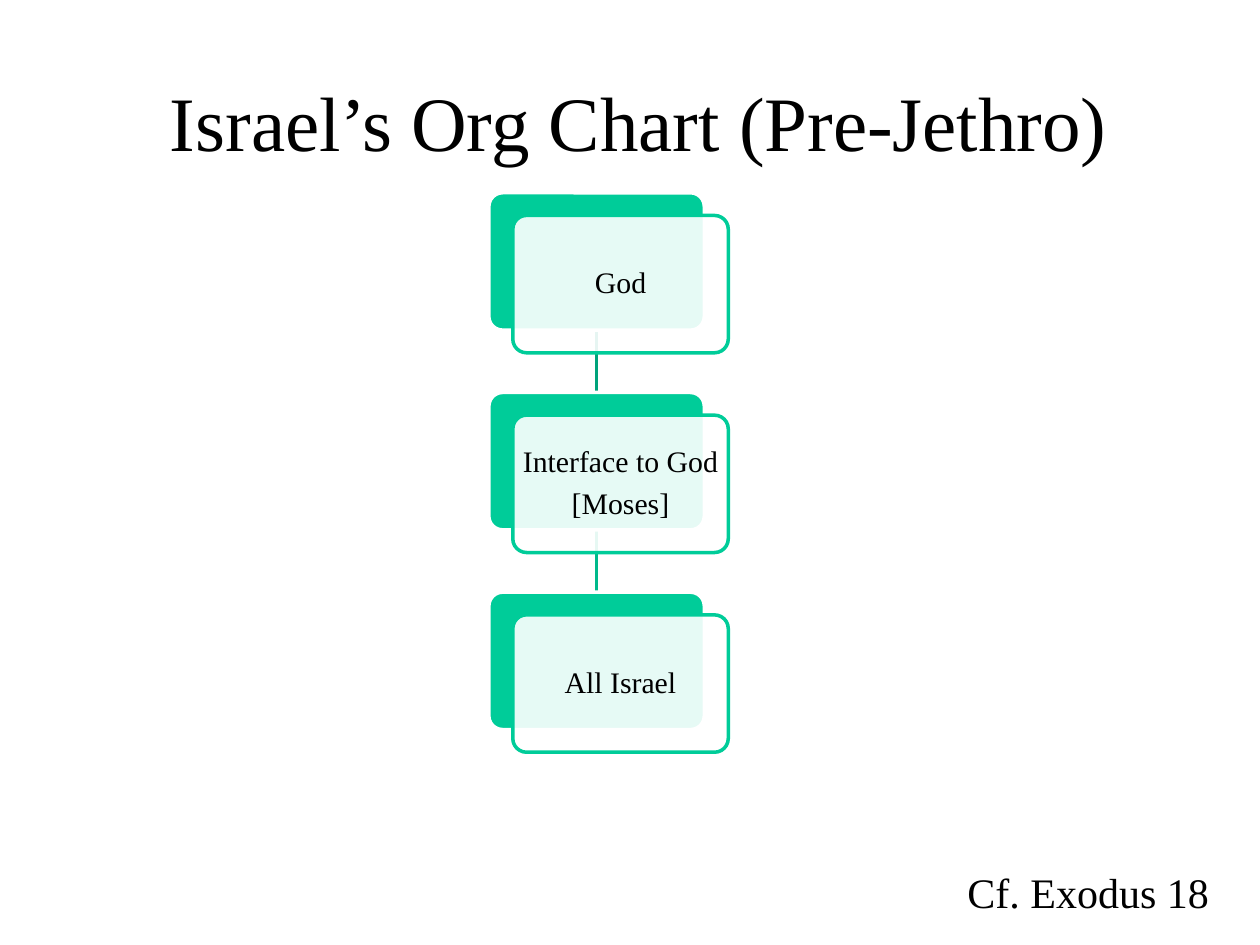
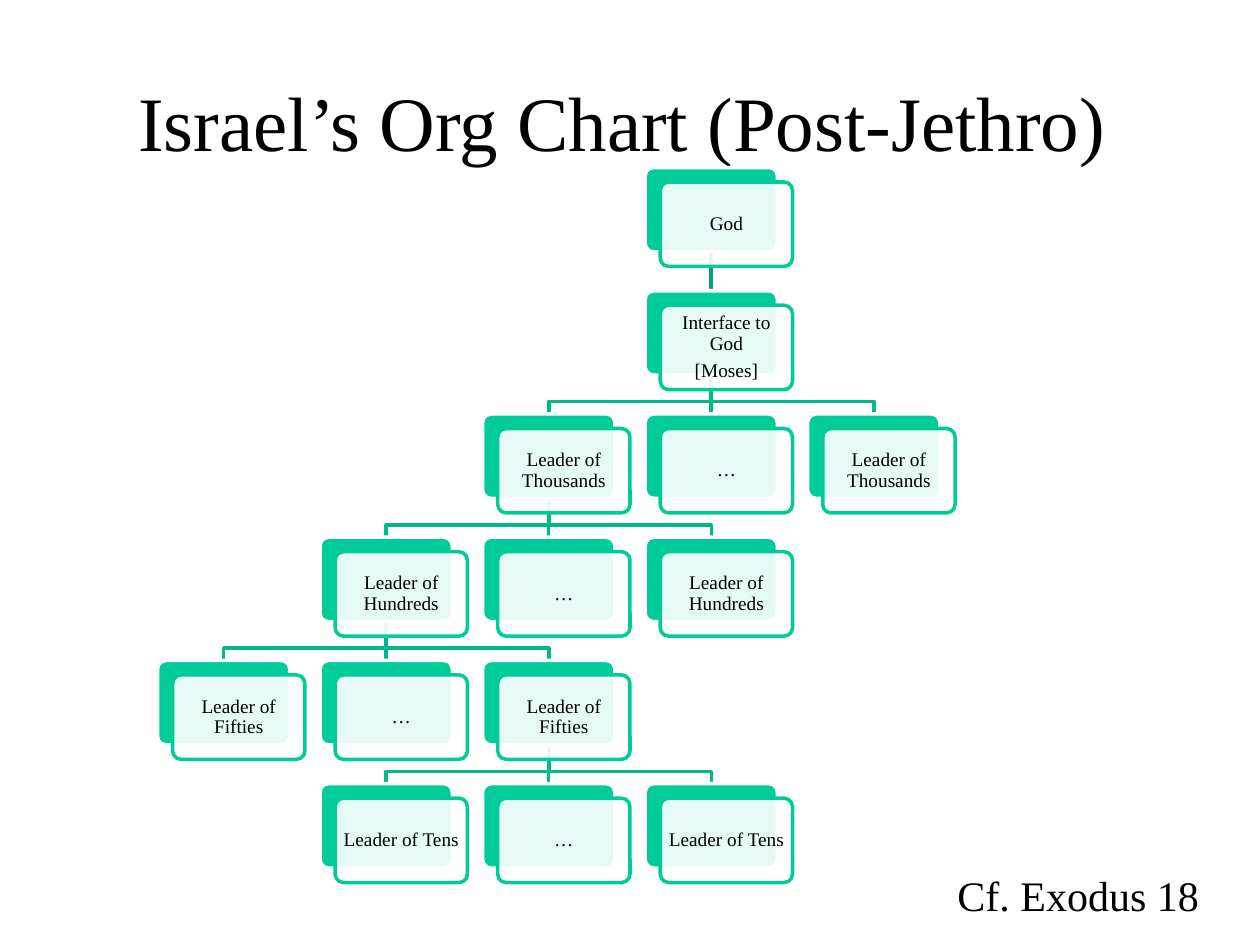
"""Builds two slides with Israel's organisation charts before and after Jethro."""
import pptx
import pptx.dml.color
import pptx.enum.shapes
import pptx.enum.text
import pptx.oxml
import pptx.oxml.ns
import pptx.util
from pptx.util import Inches

FONT = "Times New Roman"
BLACK, WHITE, GREEN = "000000", "FFFFFF", "00CC99"
FIRST_LINK, LOWER_LINK = "00A37B", "00B98B"
LINE_WIDTH = 2
CORNER = 0.1
CARD_OPACITY = 90
ELBOW_DROP = 0.21
CITATION = "Cf. Exodus 18"
MOSES = "Interface to God\n[Moses]"


def branch(leader):
    return [leader, "…", leader]


# Each level holds its centre column, which is also its parent's column, and its labels.
CHARTS = [
    {
        "title": "Israel’s Org Chart (Pre-Jethro)",
        "title_left": 1.25,
        "citation_box": (7.58, 6.83, 2.17, 0.5),
        "levels": [(0, ["God"]), (0, [MOSES]), (0, ["All Israel"])],
        "origin": (3.88, 1.53), "pitch": (0, 1.585), "box": (1.71, 1.09),
        "card_shift": (0.19, 0.18), "margin": 0.04, "size": 17,
    },
    {
        "title": "Israel’s Org Chart (Post-Jethro)",
        "title_left": 1,
        "citation_box": (7.5, 6.85, 2.25, 0.5),
        "levels": [
            (3, ["God"]),
            (3, [MOSES]),
            (3, branch("Leader of Thousands")),
            (2, branch("Leader of Hundreds")),
            (1, branch("Leader of Fifties")),
            (2, branch("Leader of Tens")),
        ],
        "origin": (1.25, 1.33), "pitch": (1.29, 0.978), "box": (1.05, 0.67),
        "card_shift": (0.12, 0.115), "margin": 0.03, "size": 11,
    },
]


def rgb(value):
    return pptx.dml.color.RGBColor.from_string(value)


def write(frame, text, size, align="LEFT", anchor="TOP", margin=None, spacing=None, after=0):
    frame.word_wrap = True
    frame.vertical_anchor = getattr(pptx.enum.text.MSO_ANCHOR, anchor)
    if margin is not None:
        frame.margin_left = frame.margin_right = Inches(margin)
        frame.margin_top = frame.margin_bottom = Inches(margin)
    frame.text = text
    for paragraph in frame.paragraphs:
        paragraph.alignment = getattr(pptx.enum.text.PP_ALIGN, align)
        paragraph.line_spacing = spacing
        paragraph.space_after = pptx.util.Pt(after)
        font = paragraph.runs[0].font
        font.name = FONT
        font.size = pptx.util.Pt(size)
        font.color.rgb = rgb(BLACK)


def add_text(slide, place, text, size, **style):
    box = slide.shapes.add_textbox(*map(Inches, place))
    write(box.text_frame, text, size, **style)


def set_line(line, color):
    line.color.rgb = rgb(color)
    line.width = pptx.util.Pt(LINE_WIDTH)


def add_panel(slide, place, fill, outline):
    panel = slide.shapes.add_shape(
        pptx.enum.shapes.MSO_SHAPE.ROUNDED_RECTANGLE, *map(Inches, place))
    panel.adjustments[0] = CORNER
    panel.shadow.inherit = False
    panel.fill.solid()
    panel.fill.fore_color.rgb = rgb(fill)
    set_line(panel.line, outline)
    return panel


def add_position(slide, left, top, label, chart):
    width, height = chart["box"]
    shift_x, shift_y = chart["card_shift"]
    backing = add_panel(slide, (left, top, width, height), GREEN, WHITE)
    card = add_panel(slide, (left + shift_x, top + shift_y, width, height), WHITE, GREEN)
    tint = card.fill._xPr.find(".//" + pptx.oxml.ns.qn("a:srgbClr"))
    alpha = pptx.oxml.parse_xml(f'<a:alpha {pptx.oxml.ns.nsdecls("a")} val="{CARD_OPACITY * 1000}"/>')
    tint.append(alpha)
    write(card.text_frame, label, chart["size"], align="CENTER", anchor="MIDDLE",
          margin=chart["margin"], spacing=0.9, after=round(0.35 * chart["size"], 1))
    return backing


def add_stem(slide, x, top, bottom, color):
    stem = slide.shapes.add_connector(
        pptx.enum.shapes.MSO_CONNECTOR.STRAIGHT, *map(Inches, (x, top, x, bottom)))
    set_line(stem.line, color)
    stem._element.spPr.append(
        pptx.oxml.parse_xml(f'<a:effectLst {pptx.oxml.ns.nsdecls("a")}/>'))
    return stem


def add_elbow(slide, parent_x, child_x, top, bottom, color):
    bend = top + ELBOW_DROP
    outline = slide.shapes.build_freeform(Inches(parent_x), Inches(top))
    outline.add_line_segments(
        [(Inches(x), Inches(y)) for x, y in
         [(parent_x, bend), (child_x, bend), (child_x, bottom)]], close=False)
    elbow = outline.convert_to_shape()
    elbow.shadow.inherit = False
    elbow.fill.background()
    set_line(elbow.line, color)


def add_chart_tree(slide, chart):
    left, top = chart["origin"]
    pitch_x, pitch_y = chart["pitch"]
    width, height = chart["box"]
    positions = [
        (row, centre + index - len(labels) // 2, label)
        for row, (centre, labels) in enumerate(chart["levels"])
        for index, label in enumerate(labels)]

    stems = []
    for row, column, label in positions:
        if row == 0:
            continue
        parent = chart["levels"][row][0]
        color = FIRST_LINK if row == 1 else LOWER_LINK
        parent_x, child_x = (left + c * pitch_x + width / 2 for c in (parent, column))
        child_top = top + row * pitch_y
        parent_bottom = child_top - pitch_y + height
        if column == parent:
            stem = add_stem(slide, child_x, parent_bottom, child_top, color)
            stems.append((stem, row, column))
        else:
            add_elbow(slide, parent_x, child_x, parent_bottom, child_top, color)

    backings = {
        (row, column): add_position(
            slide, left + column * pitch_x, top + row * pitch_y, label, chart)
        for row, column, label in positions}
    for stem, row, column in stems:
        stem.begin_connect(backings[row - 1, column], 2)
        stem.end_connect(backings[row, column], 0)


def main():
    deck = pptx.Presentation()
    deck.slide_width, deck.slide_height = Inches(10), Inches(7.5)
    for chart in CHARTS:
        slide = deck.slides.add_slide(deck.slide_layouts[6])
        add_text(slide, (chart["title_left"], 0.33, 9, 1.25), chart["title"], 44,
                 anchor="MIDDLE")
        add_chart_tree(slide, chart)
        add_text(slide, chart["citation_box"], CITATION, 24)
    deck.save("out.pptx")


if __name__ == "__main__":
    main()
